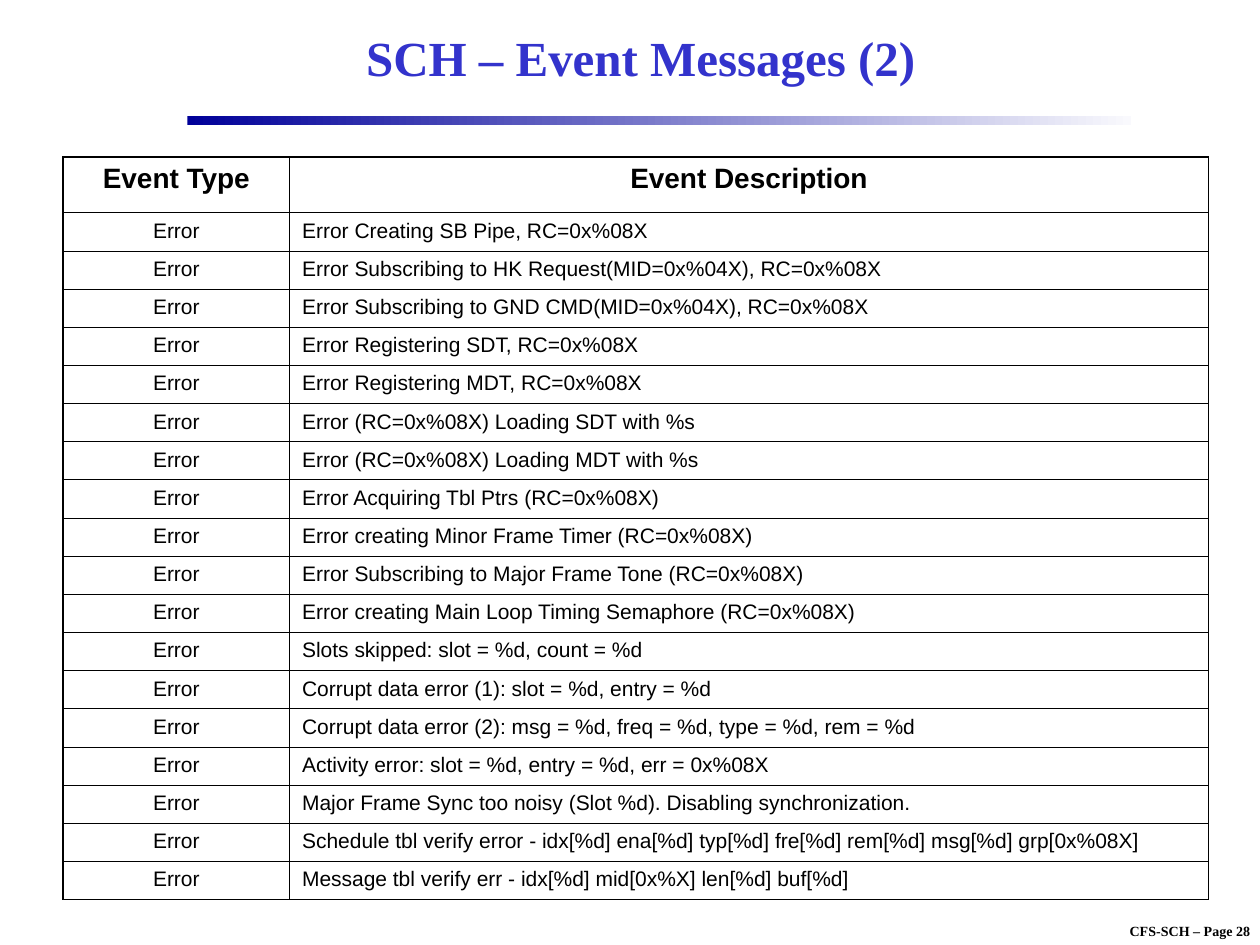
import pptx
import pptx.dml.color
import pptx.enum.shapes
import pptx.enum.text
import pptx.oxml.ns
import pptx.util
from lxml import etree

Cm = pptx.util.Cm
Pt = pptx.util.Pt
ALIGN = pptx.enum.text.PP_ALIGN
ANCHOR = pptx.enum.text.MSO_ANCHOR

BLACK = "000000"
THIN, THICK = 0.45, 1.08
TABLE_HEIGHT, HEADER_HEIGHT = 14.96, 1.12
COLUMN_WIDTHS = [4.57, 18.52]

TITLE_FONT = {"name": "Times New Roman", "size": Pt(28), "bold": True}
FOOTER_FONT = {"name": "Times New Roman", "size": Pt(8), "bold": True}
HEADER_FONT = {"name": "Arial", "size": Pt(16), "bold": True}
BODY_FONT = {"name": "Arial", "size": Pt(12), "bold": False}
CELL_MARGINS = {
    "margin_left": Cm(0.25),
    "margin_right": Cm(0.25),
    "margin_top": Cm(0.13),
    "margin_bottom": Cm(0.13),
}

HEADINGS = ["Event Type", "Event Description"]
ERROR_MESSAGES = [
    "Error Creating SB Pipe, RC=0x%08X",
    "Error Subscribing to HK Request(MID=0x%04X), RC=0x%08X",
    "Error Subscribing to GND CMD(MID=0x%04X), RC=0x%08X",
    "Error Registering SDT, RC=0x%08X",
    "Error Registering MDT, RC=0x%08X",
    "Error (RC=0x%08X) Loading SDT with %s",
    "Error (RC=0x%08X) Loading MDT with %s",
    "Error Acquiring Tbl Ptrs (RC=0x%08X)",
    "Error creating Minor Frame Timer (RC=0x%08X)",
    "Error Subscribing to Major Frame Tone (RC=0x%08X)",
    "Error creating Main Loop Timing Semaphore (RC=0x%08X)",
    "Slots skipped: slot = %d, count = %d",
    "Corrupt data error (1): slot = %d, entry = %d",
    "Corrupt data error (2): msg = %d, freq = %d, type = %d, rem = %d",
    "Activity error: slot = %d, entry = %d, err = 0x%08X",
    "Major Frame Sync too noisy (Slot %d). Disabling synchronization.",
    "Schedule tbl verify error - idx[%d] ena[%d] typ[%d] fre[%d] rem[%d] msg[%d] grp[0x%08X]",
    "Message tbl verify err - idx[%d] mid[0x%X] len[%d] buf[%d]",
]


def rgb(color):
    return pptx.dml.color.RGBColor.from_string(color)


def apply_format(target, values):
    for attribute, value in values.items():
        setattr(target, attribute, value)


def write_text(frame, text, font, color, align):
    line = frame.paragraphs[0]
    line.alignment = align
    run = line.add_run()
    run.text = text
    apply_format(run.font, font)
    run.font.color.rgb = rgb(color)


def add_label(slide, bounds, text, font, color, layout):
    label = slide.shapes.add_textbox(*map(Cm, bounds))
    apply_format(label.text_frame, layout)
    write_text(label.text_frame, text, font, color, ALIGN.CENTER)


def add_gradient_rule(slide, bounds, colors):
    rule = slide.shapes.add_shape(
        pptx.enum.shapes.MSO_SHAPE.RECTANGLE, *map(Cm, bounds)
    )
    rule.shadow.inherit = False
    rule.line.fill.background()
    rule.fill.gradient()
    rule.fill.gradient_angle = 0
    for position, (stop, color) in enumerate(zip(rule.fill.gradient_stops, colors)):
        stop.position = position
        stop.color.rgb = rgb(color)


def add_borders(cell, widths):
    qn = pptx.oxml.ns.qn
    properties = cell._tc.get_or_add_tcPr()
    for side, width in widths.items():
        border = etree.SubElement(properties, qn(f"a:ln{side}"), w=str(Pt(width)))
        fill = etree.SubElement(border, qn("a:solidFill"))
        etree.SubElement(fill, qn("a:srgbClr"), val=BLACK)


def add_event_table(slide, left, top):
    rows = [HEADINGS] + [["Error", message] for message in ERROR_MESSAGES]
    last_row, last_column = len(rows) - 1, len(HEADINGS) - 1
    body_height = (TABLE_HEIGHT - HEADER_HEIGHT) / len(ERROR_MESSAGES)
    events = slide.shapes.add_table(
        len(rows), len(HEADINGS),
        Cm(left), Cm(top), Cm(sum(COLUMN_WIDTHS)), Cm(TABLE_HEIGHT),
    ).table
    for column, width in zip(events.columns, COLUMN_WIDTHS):
        column.width = Cm(width)
    for r, row in enumerate(rows):
        is_header = r == 0
        events.rows[r].height = Cm(HEADER_HEIGHT if is_header else body_height)
        for c, text in enumerate(row):
            cell = events.cell(r, c)
            apply_format(cell, CELL_MARGINS)
            add_borders(cell, {
                "L": THICK if c == 0 else THIN,
                "R": THICK if c == last_column else THIN,
                "T": THICK if is_header else THIN,
                "B": THICK if r == last_row else THIN,
            })
            cell.fill.background()
            write_text(
                cell.text_frame, text,
                HEADER_FONT if is_header else BODY_FONT, BLACK,
                ALIGN.CENTER if is_header or c == 0 else ALIGN.LEFT,
            )


def main():
    deck = pptx.Presentation()
    deck.slide_width, deck.slide_height = Cm(25.4), Cm(19.05)
    slide = deck.slides.add_slide(deck.slide_layouts[6])
    add_label(
        slide, (22.02, 18.47, 3.94, 0.58), "CFS-SCH – Page 28", FOOTER_FONT, BLACK,
        {"word_wrap": False, "auto_size": pptx.enum.text.MSO_AUTO_SIZE.SHAPE_TO_FIT_TEXT},
    )
    add_gradient_rule(slide, (3.78, 2.34, 19.02, 0.18), ["000099", "F9F9FD"])
    add_label(
        slide, (3.81, 0.2, 18.21, 1.9), "SCH – Event Messages (2)", TITLE_FONT, "3333CC",
        {"word_wrap": True, "vertical_anchor": ANCHOR.MIDDLE},
    )
    add_event_table(slide, 1.27, 3.17)
    deck.save("out.pptx")


if __name__ == "__main__":
    main()
